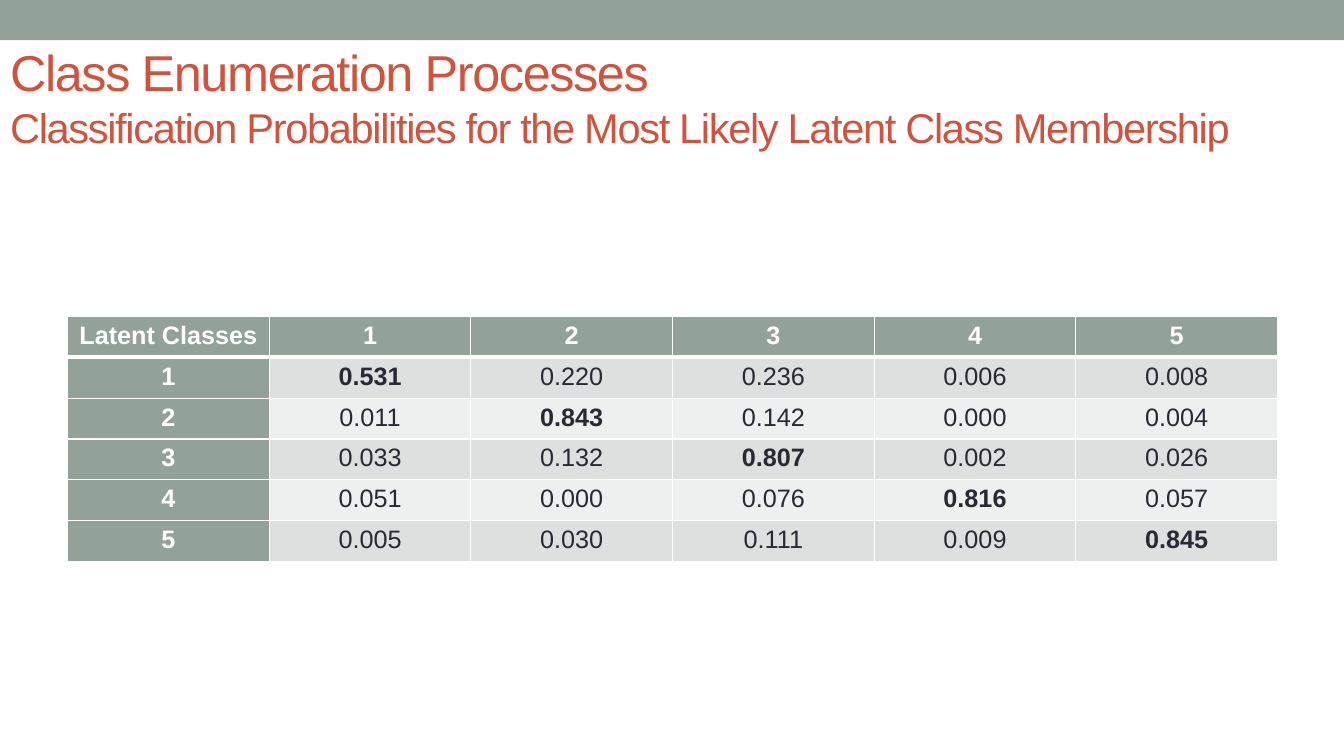
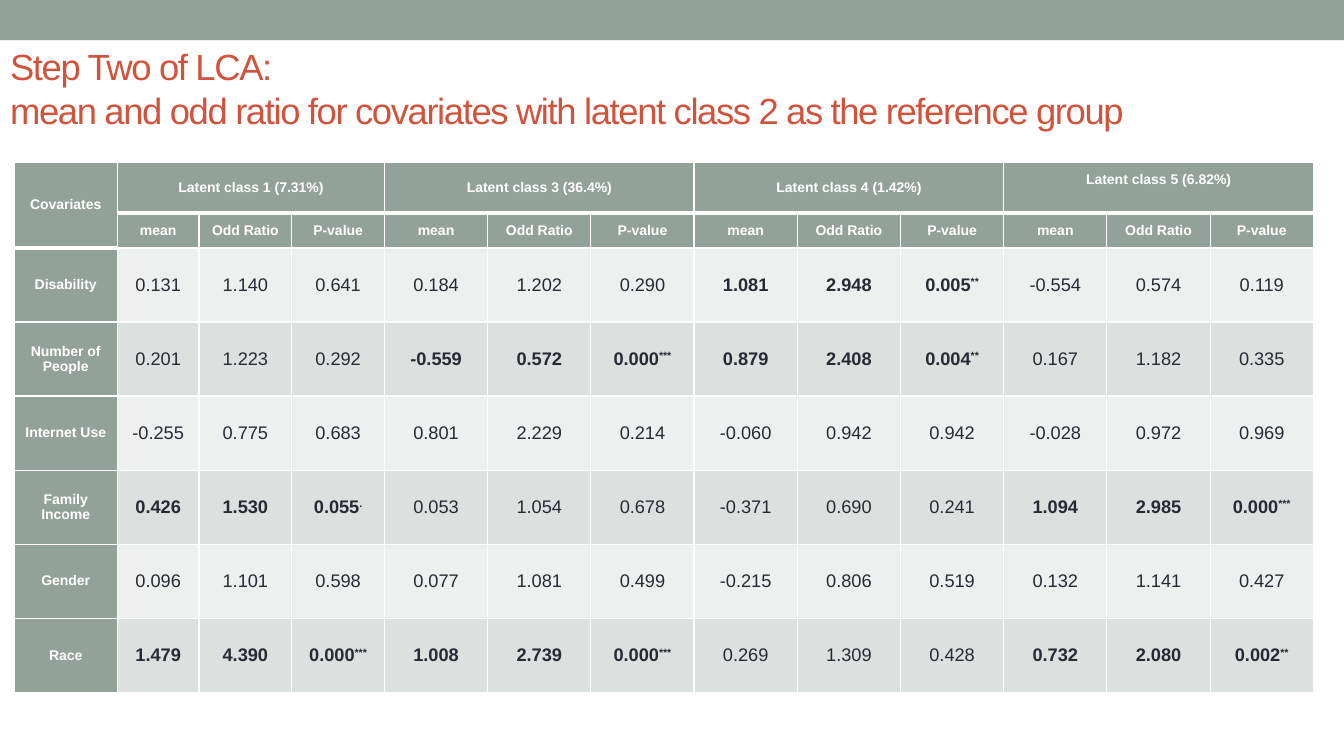
"""Build two slides reporting the results of a latent class analysis."""
from typing import NamedTuple

from lxml.etree import SubElement
from pptx import Presentation
from pptx.dml.color import RGBColor
from pptx.enum.shapes import MSO_SHAPE
from pptx.enum.text import MSO_ANCHOR, MSO_AUTO_SIZE, PP_ALIGN
from pptx.oxml.ns import qn
from pptx.util import Inches, Pt

SAGE = RGBColor(0x93, 0xA2, 0x99)
RUST = RGBColor(0xD2, 0x53, 0x3C)
INK = RGBColor(0x29, 0x29, 0x34)
WHITE = RGBColor(0xFF, 0xFF, 0xFF)
STRIPES = RGBColor(0xEE, 0xF0, 0xEF), RGBColor(0xDC, 0xE0, 0xDE)
FONT = "Arial"
SLIDE_WIDTH, SLIDE_HEIGHT, BAND_HEIGHT = 13.33, 7.5, 0.4
MARKERS = "*"
THIN, THICK = 1, 3


class Box(NamedTuple):
    left: float
    top: float
    width: float
    height: float


class TitleLine(NamedTuple):
    text: str
    size: float


class Entry(NamedTuple):
    text: str
    size: float
    bold: bool = False
    heading: bool = False
    marker: str = ""


PROBABILITIES = """
0.531 0.220 0.236 0.006 0.008
0.011 0.843 0.142 0.000 0.004
0.033 0.132 0.807 0.002 0.026
0.051 0.000 0.076 0.816 0.057
0.005 0.030 0.111 0.009 0.845
"""
CLASSES = (
    "Latent class 1 (7.31%)",
    "Latent class 3 (36.4%)",
    "Latent class 4 (1.42%)",
    "Latent class 5 (6.82%)",
)
MEASURES = ("mean", "Odd Ratio", "P-value")
COVARIATES = {
    "Disability": "0.131 1.140 0.641 0.184 1.202 0.290 "
                  "1.081 2.948 0.005** -0.554 0.574 0.119",
    "Number of People": "0.201 1.223 0.292 -0.559 0.572 0.000*** "
                        "0.879 2.408 0.004** 0.167 1.182 0.335",
    "Internet Use": "-0.255 0.775 0.683 0.801 2.229 0.214 "
                    "-0.060 0.942 0.942 -0.028 0.972 0.969",
    "Family Income": "0.426 1.530 0.055. 0.053 1.054 0.678 "
                     "-0.371 0.690 0.241 1.094 2.985 0.000***",
    "Gender": "0.096 1.101 0.598 0.077 1.081 0.499 "
              "-0.215 0.806 0.519 0.132 1.141 0.427",
    "Race": "1.479 4.390 0.000*** 1.008 2.739 0.000*** "
            "0.269 1.309 0.428 0.732 2.080 0.002**",
}


def write(paragraph, text: str, *, size: float, color: RGBColor,
          bold: bool = False, spacing: int = 0, baseline: int = 0) -> None:
    """Add a formatted run to a paragraph."""
    run = paragraph.add_run()
    run.text = text
    run.font.name, run.font.size, run.font.bold = FONT, Pt(size), bold
    run.font.color.rgb = color
    properties = run._r.get_or_add_rPr()
    for key, value in (("spc", spacing), ("baseline", baseline)):
        if value:
            properties.set(key, str(value))


def add_band(slide) -> None:
    """Put the top band on the master behind its placeholders."""
    band = slide.shapes.add_shape(MSO_SHAPE.RECTANGLE, 0, 0,
                                  Inches(SLIDE_WIDTH), Inches(BAND_HEIGHT))
    band.shadow.inherit = False
    band.fill.solid()
    band.fill.fore_color.rgb = SAGE
    band.line.fill.background()
    band.element.nvSpPr.cNvPr.set("id", "100")
    slide.slide_layout.slide_master.shapes.element.insert(2, band.element)


def add_title(slide, box: Box, lines: list[TitleLine]) -> None:
    """Place the title placeholder and fill it line by line."""
    title = slide.shapes.title
    title.left, title.top, title.width, title.height = map(Inches, box)
    frame = title.text_frame
    frame.word_wrap, frame.auto_size = True, MSO_AUTO_SIZE.NONE
    frame.vertical_anchor = MSO_ANCHOR.MIDDLE
    paragraph = frame.paragraphs[0]
    paragraph.alignment = PP_ALIGN.LEFT
    for number, line in enumerate(lines):
        if number:
            paragraph.add_line_break()
        write(paragraph, line.text, size=line.size, color=RUST, spacing=-100)


def set_borders(cell, top: float, bottom: float) -> None:
    """Draw white borders round a cell."""
    properties = cell._tc.get_or_add_tcPr()
    for side, width in (("L", THIN), ("R", THIN), ("T", top), ("B", bottom)):
        border = SubElement(properties, qn(f"a:ln{side}"), w=str(Pt(width)))
        fill = SubElement(border, qn("a:solidFill"))
        SubElement(fill, qn("a:srgbClr"), val=str(WHITE))


def add_grid(slide, box: Box, columns: list[float], rows: list[float],
             entries: list[list[Entry]], anchor: MSO_ANCHOR):
    """Draw a striped table with heading cells and return it."""
    table = slide.shapes.add_table(len(rows), len(columns),
                                   *map(Inches, box)).table
    for column, width in zip(table.columns, columns):
        column.width = Inches(width)
    for row, height in zip(table.rows, rows):
        row.height = Inches(height)
    for r, line in enumerate(entries):
        for c, entry in enumerate(line):
            cell = table.cell(r, c)
            set_borders(cell, THICK if r == 1 else THIN,
                        THICK if r == 0 else THIN)
            cell.fill.solid()
            cell.fill.fore_color.rgb = SAGE if entry.heading else STRIPES[r % 2]
            cell.vertical_anchor = anchor
            paragraph = cell.text_frame.paragraphs[0]
            paragraph.alignment = PP_ALIGN.CENTER
            color = WHITE if entry.heading else INK
            for text, baseline in ((entry.text, 0), (entry.marker, 30000)):
                if text:
                    write(paragraph, text, size=entry.size, color=color,
                          bold=entry.bold, baseline=baseline)
    return table


def heading(text: str, size: float) -> Entry:
    """Describe a heading cell."""
    return Entry(text, size, bold=True, heading=True)


def covariate_entries(values: str) -> list[Entry]:
    """Describe the estimates, with significant classes in bold."""
    estimates = values.split()
    entries = []
    for start in range(0, len(estimates), len(MEASURES)):
        group = estimates[start:start + len(MEASURES)]
        numbers = [text.rstrip(MARKERS + ".") for text in group]
        significant = group != numbers
        entries += [Entry(number, 13, significant, marker=text[len(number):])
                    for text, number in zip(group, numbers)]
    return entries


def build_probabilities(slide) -> None:
    """Build the slide of classification probabilities."""
    add_title(slide, Box(0, 0.42, 12.48, 1.08), [
        TitleLine("Class Enumeration Processes", 36),
        TitleLine("Classification Probabilities for the Most Likely "
                  "Latent Class Membership", 29.7),
    ])
    matrix = [line.split() for line in PROBABILITIES.strip().splitlines()]
    labels = ["Latent Classes", *map(str, range(1, len(matrix) + 1))]
    entries = [[heading(label, 18) for label in labels]]
    for r, line in enumerate(matrix):
        entries.append([heading(labels[r + 1], 18)]
                       + [Entry(value, 18, bold=r == c)
                          for c, value in enumerate(line)])
    box = Box(0.67, 3.14, 12, 2.43)
    count = len(labels)
    add_grid(slide, box, [box.width / count] * count,
             [box.height / count] * count, entries, MSO_ANCHOR.TOP)


def build_covariates(slide) -> None:
    """Build the slide of covariate means and odd ratios."""
    add_title(slide, Box(0, 0.62, 12, 0.5), [
        TitleLine("Step Two of LCA:", 26),
        TitleLine("mean and odd ratio for covariates with latent class 2 "
                  "as the reference group", 26),
    ])
    span = len(MEASURES)
    class_row, measure_row = [heading("Covariates", 10)], [heading("", 10)]
    for name in CLASSES:
        class_row += [heading(text, 10) for text in (name, "", "")]
        measure_row += [heading(measure, 10) for measure in MEASURES]
    entries = [class_row, measure_row]
    entries += [[heading(name, 10), *covariate_entries(values)]
                for name, values in COVARIATES.items()]

    box = Box(0.14, 1.61, 12.89, 5.26)
    first_class, header_rows = [0.81, 0.92, 0.92], [0.5, 0.35]
    wide = (box.width - sum(first_class)) / (len(class_row) - span)
    tall = (box.height - sum(header_rows)) / len(COVARIATES)
    columns = [wide, *first_class] + [wide] * (len(class_row) - span - 1)
    table = add_grid(slide, box, columns,
                     header_rows + [tall] * len(COVARIATES),
                     entries, MSO_ANCHOR.MIDDLE)
    table.cell(0, 0).merge(table.cell(1, 0))
    for start in range(1, len(class_row), span):
        table.cell(0, start).merge(table.cell(0, start + span - 1))
    table.cell(0, len(class_row) - span).margin_bottom = Inches(0.21)


def main() -> None:
    """Create the presentation and save it."""
    deck = Presentation()
    deck.slide_width, deck.slide_height = Inches(SLIDE_WIDTH), Inches(SLIDE_HEIGHT)
    title_only = deck.slide_layouts[5]
    for number, build in enumerate((build_probabilities, build_covariates)):
        slide = deck.slides.add_slide(title_only)
        if number == 0:
            add_band(slide)
        build(slide)
    deck.save("out.pptx")


if __name__ == "__main__":
    main()
